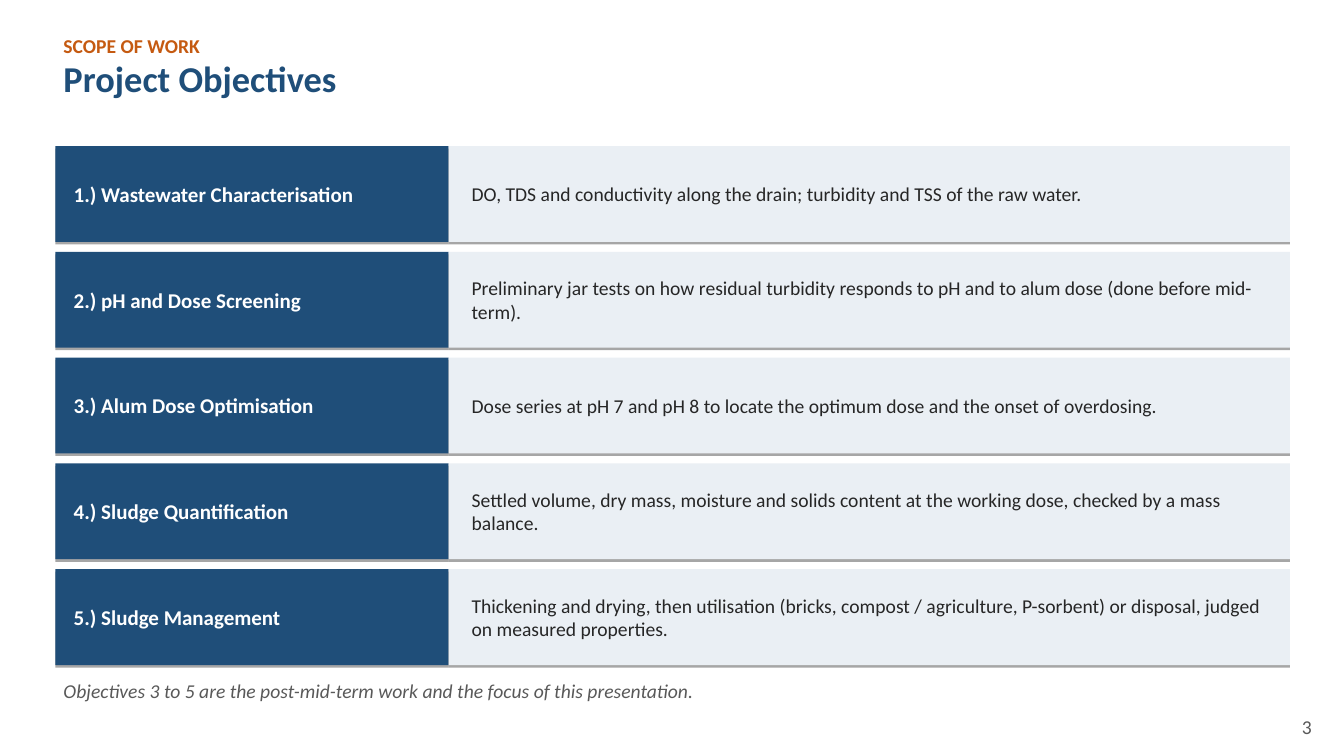
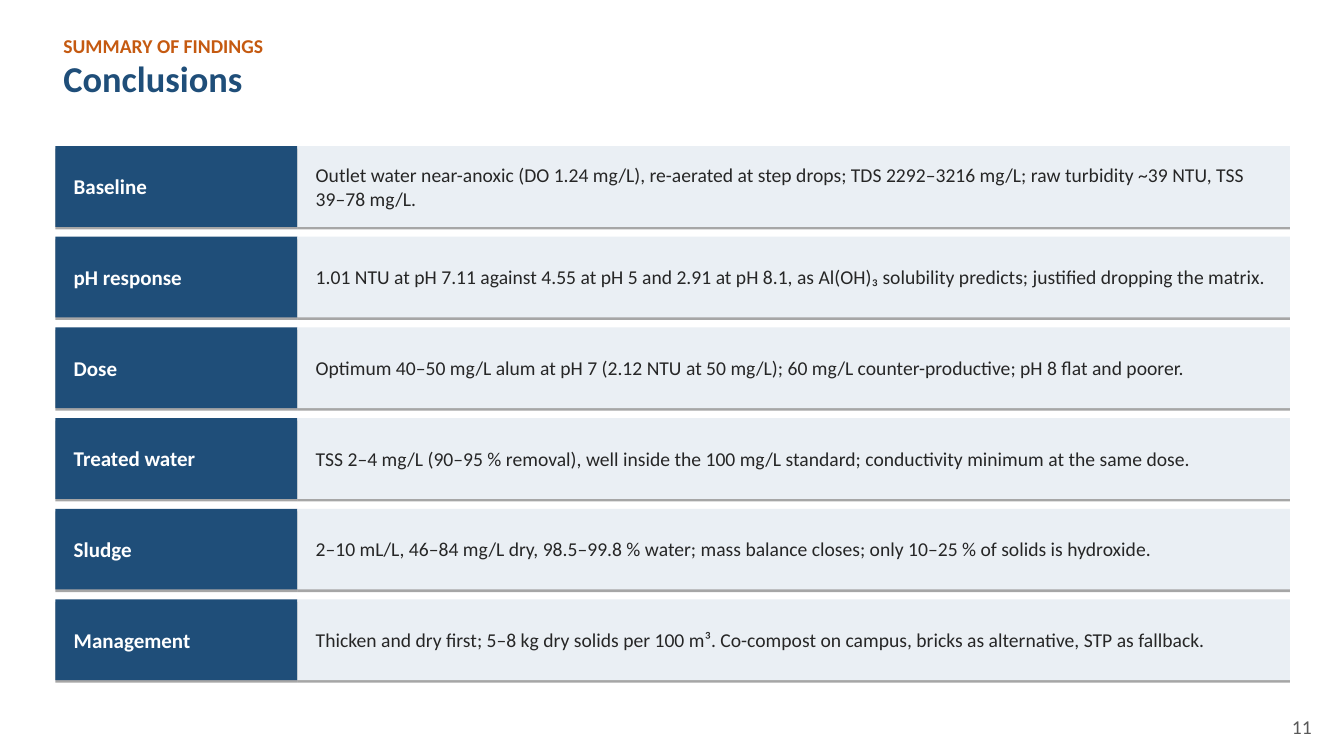
from lxml.etree import SubElement
from pptx import Presentation
from pptx.dml.color import RGBColor
from pptx.enum.shapes import MSO_SHAPE
from pptx.enum.text import MSO_ANCHOR as Anchor, PP_ALIGN as Align
from pptx.oxml.ns import qn
from pptx.util import Cm, Pt

FONT = "Calibri"
NAVY = "1F4E79"
ORANGE = "C55A11"
PALE = "EAEFF4"
INK = "262626"
GREY = "595959"
WHITE = "FFFFFF"
BLACK = "000000"

LEFT = 1.4
TABLE_TOP = 3.68
TABLE_WIDTH = 31.12
ROW_GAP = 0.25
CELL_INSET = 0.46

OBJECTIVES = [
    ("1.) Wastewater Characterisation",
     "DO, TDS and conductivity along the drain; turbidity and TSS of the raw water."),
    ("2.) pH and Dose Screening",
     "Preliminary jar tests on how residual turbidity responds to pH and to alum dose "
     "(done before mid-term)."),
    ("3.) Alum Dose Optimisation",
     "Dose series at pH 7 and pH 8 to locate the optimum dose and the onset of overdosing."),
    ("4.) Sludge Quantification",
     "Settled volume, dry mass, moisture and solids content at the working dose, "
     "checked by a mass balance."),
    ("5.) Sludge Management",
     "Thickening and drying, then utilisation (bricks, compost / agriculture, P-sorbent) "
     "or disposal, judged on measured properties."),
]

CONCLUSIONS = [
    ("Baseline",
     "Outlet water near-anoxic (DO 1.24 mg/L), re-aerated at step drops; "
     "TDS 2292–3216 mg/L; raw turbidity ~39 NTU, TSS 39–78 mg/L."),
    ("pH response",
     "1.01 NTU at pH 7.11 against 4.55 at pH 5 and 2.91 at pH 8.1, "
     "as Al(OH)₃ solubility predicts; justified dropping the matrix."),
    ("Dose",
     "Optimum 40–50 mg/L alum at pH 7 (2.12 NTU at 50 mg/L); "
     "60 mg/L counter-productive; pH 8 flat and poorer."),
    ("Treated water",
     "TSS 2–4 mg/L (90–95 % removal), well inside the 100 mg/L standard; "
     "conductivity minimum at the same dose."),
    ("Sludge",
     "2–10 mL/L, 46–84 mg/L dry, 98.5–99.8 % water; mass balance closes; "
     "only 10–25 % of solids is hydroxide."),
    ("Management",
     "Thicken and dry first; 5–8 kg dry solids per 100 m³. Co-compost on campus, "
     "bricks as alternative, STP as fallback."),
]


def colour(hex_code):
    return RGBColor.from_string(hex_code)


def write(frame, text, size, ink, bold=False, italic=False, align=Align.LEFT,
          inset=0.2, right_inset=0.2, anchor=Anchor.TOP):
    frame.text = text
    frame.word_wrap = True
    frame.vertical_anchor = anchor
    frame.margin_left, frame.margin_right = Cm(inset), Cm(right_inset)
    frame.margin_top = frame.margin_bottom = Cm(0.1)
    paragraph = frame.paragraphs[0]
    paragraph.alignment = align
    font = paragraph.runs[0].font
    font.name, font.size = FONT, Pt(size)
    font.bold, font.italic = bold, italic
    font.color.rgb = colour(ink)


def add_text(slide, left, top, width, height, text, size, ink, **style):
    box = slide.shapes.add_textbox(Cm(left), Cm(top), Cm(width), Cm(height))
    write(box.text_frame, text, size, ink, **style)


def add_drop_shadow(shape):
    shape.shadow.inherit = False
    effects = shape._element.spPr.find(qn("a:effectLst"))
    shadow = SubElement(effects, qn("a:outerShdw"), blurRad="0", dist=str(Pt(1.8)),
                        dir="5400000", algn="t", rotWithShape="0")
    tint = SubElement(shadow, qn("a:srgbClr"), val=BLACK)
    SubElement(tint, qn("a:alpha"), val="35000")


def add_cell(slide, left, top, width, height, fill, text, size, ink, inset=CELL_INSET, bold=False):
    cell = slide.shapes.add_shape(MSO_SHAPE.RECTANGLE, Cm(left), Cm(top), Cm(width), Cm(height))
    cell.fill.solid()
    cell.fill.fore_color.rgb = colour(fill)
    cell.line.fill.background()
    add_drop_shadow(cell)
    write(cell.text_frame, text, size, ink, bold=bold, inset=inset,
          right_inset=CELL_INSET, anchor=Anchor.MIDDLE)


def add_heading(slide, left, top, kicker, title):
    add_text(slide, left, top, 22.86, 0.79, kicker, 14, ORANGE, bold=True)
    add_text(slide, left, top + 0.56, 29.21, 1.3, title, 26, NAVY, bold=True)


def add_rows(slide, left, top, width, height, entries, label_width, detail_inset):
    row_height = (height - ROW_GAP * (len(entries) - 1)) / len(entries)
    for index, (label, detail) in enumerate(entries):
        row_top = top + index * (row_height + ROW_GAP)
        add_cell(slide, left, row_top, label_width, row_height, NAVY, label, 15, WHITE, bold=True)
        add_cell(slide, left + label_width, row_top, width - label_width, row_height,
                 PALE, detail, 14, INK, inset=detail_inset)


def add_summary_slide(deck, kicker, title, entries, number, height, label_width,
                      detail_inset=CELL_INSET, footnote=None):
    slide = deck.slides.add_slide(deck.slide_layouts[6])
    slide.background.fill.solid()
    slide.background.fill.fore_color.rgb = colour(WHITE)
    add_heading(slide, LEFT, 0.76, kicker, title)
    add_rows(slide, LEFT, TABLE_TOP, TABLE_WIDTH, height, entries, label_width, detail_inset)
    if footnote:
        add_text(slide, LEFT, 17.02, 30.48, 0.79, footnote, 14, GREY, italic=True)
    add_text(slide, 31.75, 17.91, 1.52, 0.79, number, 14, GREY, align=Align.RIGHT)


def main():
    deck = Presentation()
    deck.slide_width, deck.slide_height = Cm(33.88), Cm(19.05)
    add_summary_slide(
        deck, "SCOPE OF WORK", "Project Objectives", OBJECTIVES, "3",
        height=13.08, label_width=9.91, detail_inset=0.58,
        footnote="Objectives 3 to 5 are the post-mid-term work and the focus of this presentation.")
    add_summary_slide(
        deck, "SUMMARY OF FINDINGS", "Conclusions", CONCLUSIONS, "11",
        height=13.46, label_width=6.1)
    deck.save("out.pptx")


if __name__ == "__main__":
    main()
